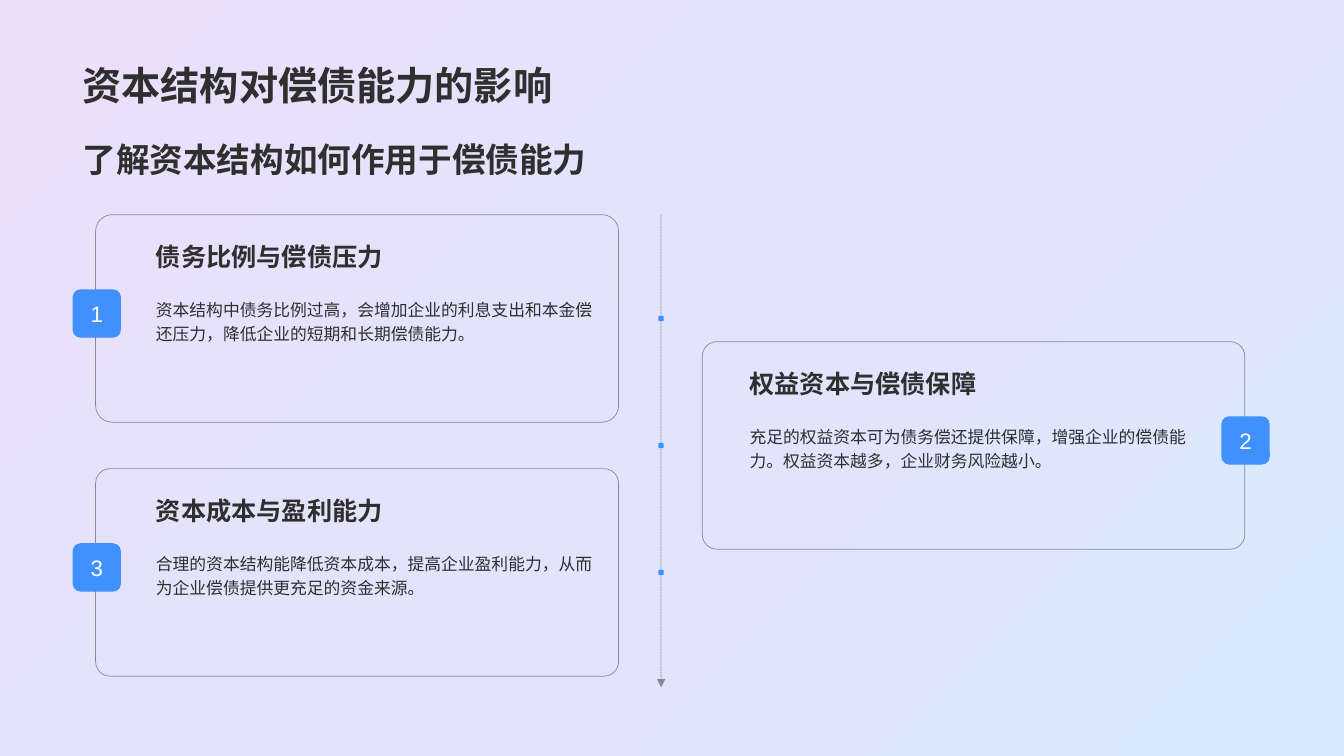
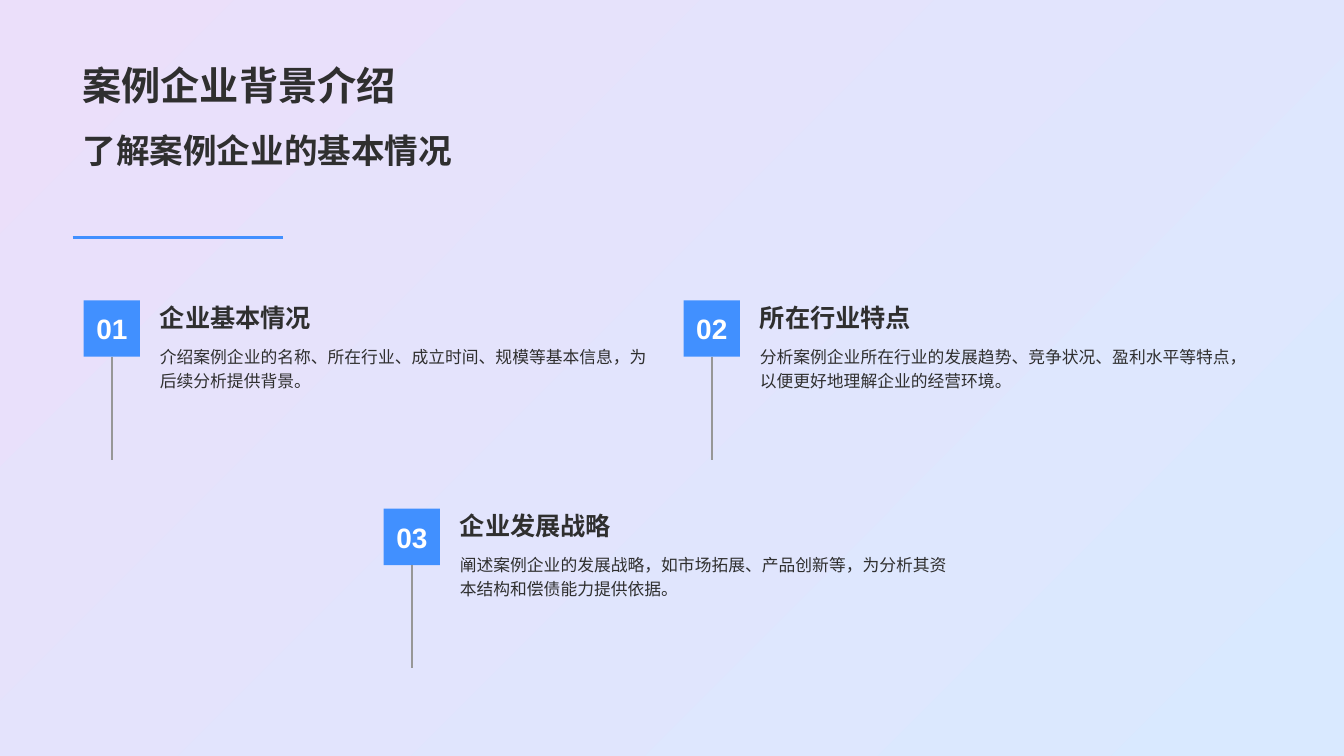
from lxml import etree
from pptx import Presentation
from pptx.dml.color import RGBColor
from pptx.enum.dml import MSO_LINE
from pptx.enum.shapes import MSO_CONNECTOR, MSO_SHAPE
from pptx.enum.text import MSO_ANCHOR, PP_ALIGN
from pptx.oxml.ns import qn
from pptx.util import Cm, Pt

DASH = MSO_LINE.SQUARE_DOT
STRAIGHT = MSO_CONNECTOR.STRAIGHT
RECT, ROUNDED = MSO_SHAPE.RECTANGLE, MSO_SHAPE.ROUNDED_RECTANGLE
TOP, MIDDLE, BOTTOM = MSO_ANCHOR.TOP, MSO_ANCHOR.MIDDLE, MSO_ANCHOR.BOTTOM
CENTER = PP_ALIGN.CENTER

INK, ACCENT, WHITE, STEM = "2F2F2F", "4190FF", "FFFFFF", "979797"
GRADIENT = ("D9E9FF", "EBDFFA")
FONT = "Arial"
MARGIN, CONTENT_WIDTH = 1.83, 30.18


def color(hex_string):
    return RGBColor.from_string(hex_string)


class Deck:
    """Holds the shared style and the current slide; lengths are in cm."""

    def __init__(self):
        self.prs = Presentation()
        self.prs.slide_width, self.prs.slide_height = Cm(33.87), Cm(19.05)
        self.slide = None

    def new_slide(self, title):
        self.slide = self.prs.slides.add_slide(self.prs.slide_layouts[6])
        fill = self.slide.background.fill
        fill.gradient()
        fill.gradient_angle = 135
        for stop, position, shade in zip(fill.gradient_stops, (0, 1), GRADIENT):
            stop.position = position
            stop.color.rgb = color(shade)
        self.text(title, MARGIN, 0.36, CONTENT_WIDTH, 2.49, 28, bold=True, anchor=BOTTOM)

    def fill_text(self, frame, text, size, bold, ink, anchor, spacing=None, align=None):
        frame.vertical_anchor = anchor
        paragraph = frame.paragraphs[0]
        paragraph.text = text
        paragraph.alignment = align
        paragraph.line_spacing = spacing
        font = paragraph.font
        font.name, font.size, font.bold = FONT, Pt(size), bold
        font.color.rgb = color(ink)

    def text(self, text, x, y, width, height, size, bold=False, anchor=TOP, spacing=None):
        box = self.slide.shapes.add_textbox(Cm(x), Cm(y), Cm(width), Cm(height))
        box.text_frame.word_wrap = True
        self.fill_text(box.text_frame, text, size, bold, INK, anchor, spacing)

    def block(self, preset, x, y, width, height, fill=ACCENT):
        shape = self.slide.shapes.add_shape(preset, Cm(x), Cm(y), Cm(width), Cm(height))
        shape.shadow.inherit = False
        if fill:
            shape.fill.solid()
            shape.fill.fore_color.rgb = color(fill)
        else:
            shape.fill.background()
        shape.line.fill.background()
        return shape

    def badge(self, preset, number, x, y, side, size, bold=False):
        shape = self.block(preset, x, y, side, side)
        shape.text_frame.word_wrap = False
        self.fill_text(shape.text_frame, number, size, bold, WHITE, MIDDLE, align=CENTER)

    def stroke(self, shape, ink, width, opacity=100):
        shape.line.color.rgb = color(ink)
        shape.line.width = Pt(width)
        if opacity < 100:
            solid = shape.element.spPr.find(qn("a:ln")).find(qn("a:solidFill"))
            etree.SubElement(solid[0], qn("a:alpha"), val=str(opacity * 1000))

    def outline(self, x, y, width, height, rounding):
        shape = self.block(ROUNDED, x, y, width, height, fill=None)
        shape.adjustments[0] = rounding
        self.stroke(shape, INK, 0.5, opacity=50)

    def line(self, x1, y1, x2, y2, ink, width, opacity=100):
        connector = self.slide.shapes.add_connector(STRAIGHT, Cm(x1), Cm(y1), Cm(x2), Cm(y2))
        self.stroke(connector, ink, width, opacity)
        etree.SubElement(connector.element.spPr, qn("a:effectLst"))
        return connector

    def dashed_arrow(self, x1, y1, x2, y2):
        arrow = self.line(x1, y1, x2, y2, INK, 0.5, opacity=50)
        arrow.line.dash_style = DASH
        etree.SubElement(arrow.element.spPr.find(qn("a:ln")), qn("a:tailEnd"), type="triangle")


def capital_structure(deck):
    deck.new_slide("资本结构对偿债能力的影响")
    deck.text("了解资本结构如何作用于偿债能力", MARGIN, 3.15, CONTENT_WIDTH, 1.73, 24,
              bold=True, anchor=MIDDLE)

    # Timeline between the two columns
    axis_x, first_top, pitch = 16.66, 5.41, 3.2
    card_height, dot, badge = 5.23, 0.13, 1.22
    deck.dashed_arrow(axis_x, first_top, axis_x, 17.32)

    # Cards: left, width, text left, badge centre, rounding, heading, body
    left = (2.41, 13.18, 3.68, 2.44)
    right = (17.7, 13.67, 18.64, 31.39)
    cards = [
        (*left, 0.08, "债务比例与偿债压力",
         "资本结构中债务比例过高，会增加企业的利息支出和本金偿还压力，降低企业的短期和长期偿债能力。"),
        (*right, 0.07, "权益资本与偿债保障",
         "充足的权益资本可为债务偿还提供保障，增强企业的偿债能力。权益资本越多，企业财务风险越小。"),
        (*left, 0.07, "资本成本与盈利能力",
         "合理的资本结构能降低资本成本，提高企业盈利能力，从而为企业偿债提供更充足的资金来源。"),
    ]
    for index, (x, width, text_x, badge_x, rounding, heading, body) in enumerate(cards):
        top = first_top + index * pitch
        deck.block(ROUNDED, axis_x - dot / 2, top + (card_height - dot) / 2, dot, dot)
        deck.outline(x, top, width, card_height, rounding)
        deck.text(heading, text_x, top + 0.3, 11.81, 1.35, 18,
                  bold=True, anchor=MIDDLE, spacing=1.2)
        deck.badge(ROUNDED, str(index + 1), badge_x - badge / 2, top + 1.88, badge, 16)
        deck.text(body, text_x, top + 1.92, 11.81, 3.05, 12, spacing=1.2)


def company_background(deck):
    deck.new_slide("案例企业背景介绍")
    deck.text("了解案例企业的基本情况", MARGIN, 3.15, 11.99, 2.69, 24, bold=True)
    deck.line(MARGIN, 5.99, 7.14, 5.99, ACCENT, 2)

    # Topics: column, row, heading, body
    topics = [
        (0, 0, "企业基本情况",
         "介绍案例企业的名称、所在行业、成立时间、规模等基本信息，为后续分析提供背景。"),
        (2, 0, "所在行业特点",
         "分析案例企业所在行业的发展趋势、竞争状况、盈利水平等特点，以便更好地理解企业的经营环境。"),
        (1, 1, "企业发展战略",
         "阐述案例企业的发展战略，如市场拓展、产品创新等，为分析其资本结构和偿债能力提供依据。"),
    ]
    side = 1.42
    for number, (column, row, heading, body) in enumerate(topics, 1):
        x, y = 2.11 + column * 7.56, 7.57 + row * 5.25
        text_x, stem_x = x + 1.67, x + side / 2
        deck.text(heading, text_x, y - 0.72, 12.83, 1.65, 18, bold=True, anchor=BOTTOM)
        deck.badge(RECT, f"{number:02}", x, y, side, 20, bold=True)
        deck.text(body, text_x, y + 0.94, 12.83, 2.57, 12, spacing=1.2)
        deck.line(stem_x, y + 4.01, stem_x, y + side, STEM, 1)


def main():
    deck = Deck()
    capital_structure(deck)
    company_background(deck)
    deck.prs.save("out.pptx")


if __name__ == "__main__":
    main()
